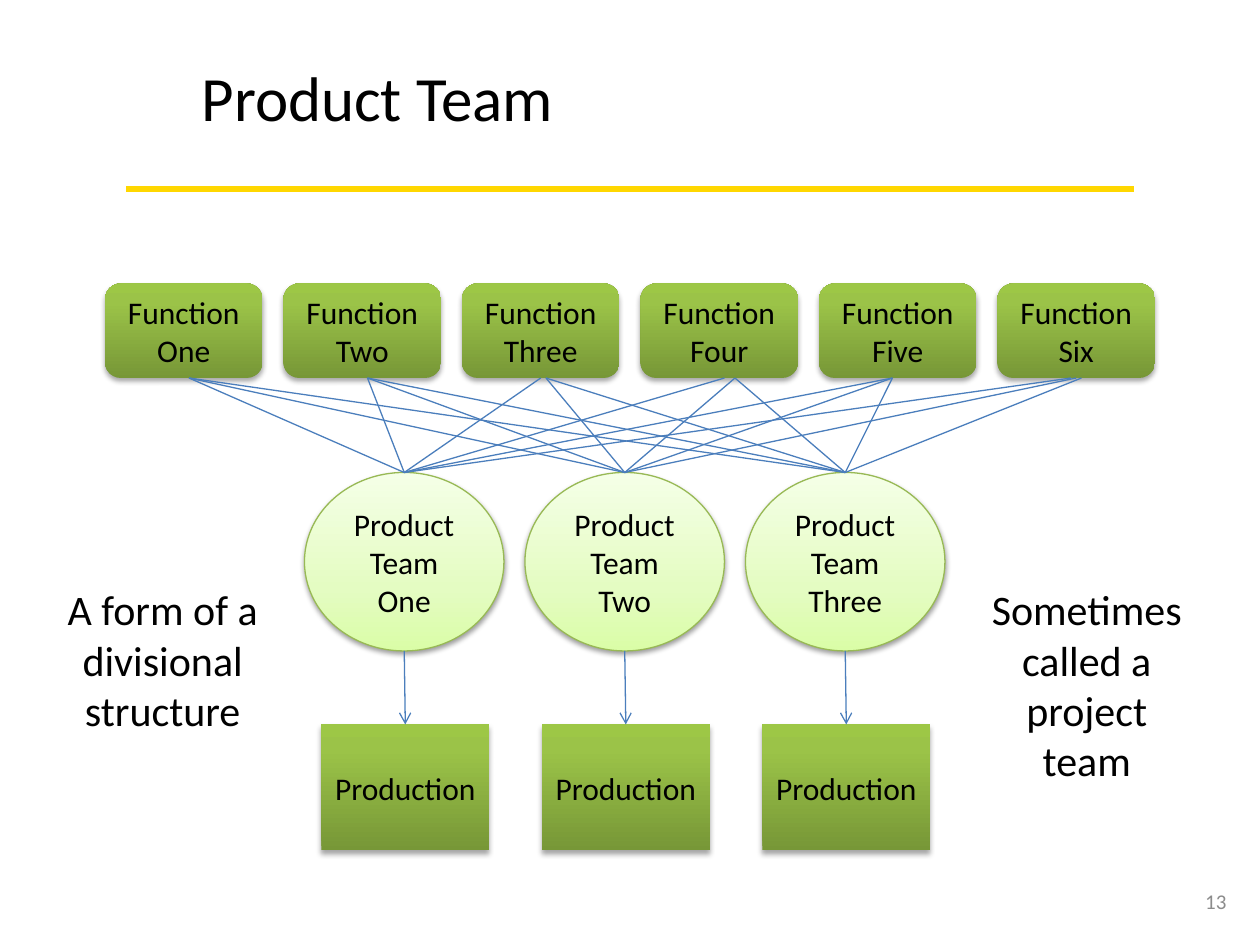
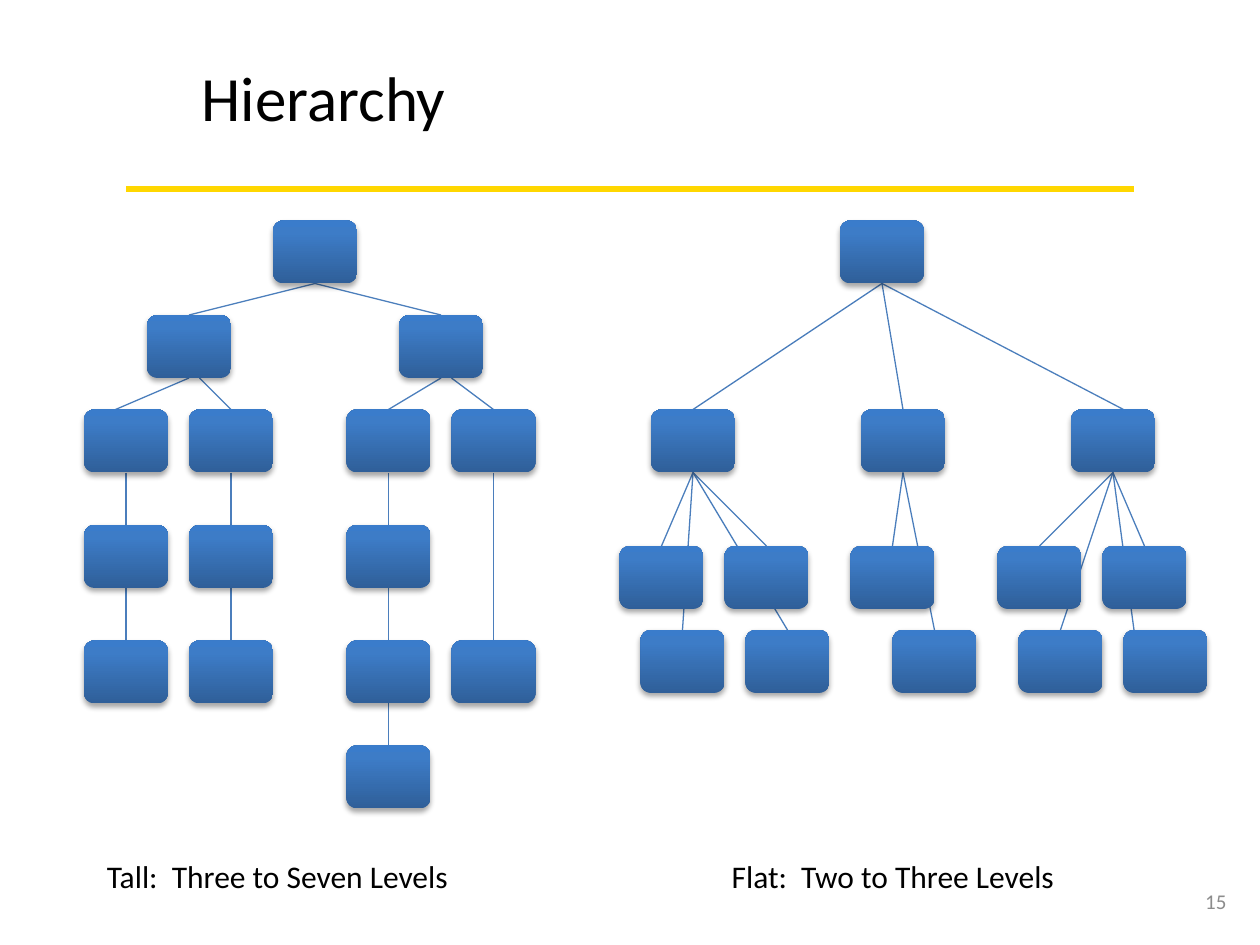
from pptx import Presentation
from pptx import util as u
from pptx.dml.color import RGBColor
from pptx.enum import shapes, text
from pptx.oxml import parse_xml
from pptx.oxml.ns import nsdecls, qn
from pptx.oxml.xmlchemy import OxmlElement

PX = 914400 // 120
BLACK = RGBColor(0x00, 0x00, 0x00)
GREY = RGBColor(0x8C, 0x8C, 0x8C)
GOLD = RGBColor(0xFF, 0xD7, 0x00)
LINK_BLUE = RGBColor(0x4B, 0x7E, 0xBC)
LIME_EDGE = RGBColor(0x98, 0xB9, 0x55)
GREEN = [(0, RGBColor(0x77, 0x97, 0x37)), (80, RGBColor(0x9B, 0xC3, 0x48)), (100, RGBColor(0x9D, 0xC7, 0x46))]
LIME = [(0, RGBColor(0xDA, 0xFD, 0xA7)), (35, RGBColor(0xE4, 0xFC, 0xC2)), (100, RGBColor(0xF5, 0xFF, 0xE7))]
BLUE = [(0, RGBColor(0x2F, 0x5F, 0x99)), (80, RGBColor(0x3D, 0x7C, 0xC7)), (100, RGBColor(0x3A, 0x7C, 0xCB))]
LEFT, CENTER, RIGHT = text.PP_ALIGN.LEFT, text.PP_ALIGN.CENTER, text.PP_ALIGN.RIGHT
TOP, MIDDLE = text.MSO_ANCHOR.TOP, text.MSO_ANCHOR.MIDDLE
ROUNDED = shapes.MSO_SHAPE.ROUNDED_RECTANGLE


def draw_block(slide, kind, box, stops, edge=None, shade=35, drop=23000):
    block = slide.shapes.add_shape(kind, *(n * PX for n in box))
    if edge:
        block.line.color.rgb = edge
        block.line.width = u.Pt(0.75)
    else:
        block.line.fill.background()
    props = block._element.spPr
    marks = "".join(
        f'<a:gs pos="{at * 1000}"><a:srgbClr val="{color}"/></a:gs>' for at, color in stops
    )
    props.find(qn("a:prstGeom")).addnext(parse_xml(
        f'<a:gradFill {nsdecls("a")} rotWithShape="1"><a:gsLst>{marks}</a:gsLst>'
        '<a:lin ang="16200000" scaled="0"/></a:gradFill>'
    ))
    props.append(parse_xml(
        f'<a:effectLst {nsdecls("a")}><a:outerShdw blurRad="40000" dist="{drop}" dir="5400000" '
        f'rotWithShape="0"><a:srgbClr val="{BLACK}"><a:alpha val="{shade * 1000}"/></a:srgbClr>'
        '</a:outerShdw></a:effectLst>'
    ))
    return block


def draw_link(slide, ends, color=LINK_BLUE, width=0.75, arrow=False):
    link = slide.shapes.add_connector(shapes.MSO_CONNECTOR.STRAIGHT, *(n * PX for n in ends))
    link.line.color.rgb = color
    link.line.width = u.Pt(width)
    if arrow:
        head = OxmlElement("a:tailEnd")
        head.set("type", "arrow")
        link.line._get_or_add_ln().append(head)
    link._element.spPr.append(OxmlElement("a:effectLst"))
    return link


deck = Presentation()
deck.slide_width, deck.slide_height = 1200 * PX, 900 * PX
title_layout = deck.slide_layouts.get_by_name("Title Only")
product_team = deck.slides.add_slide(title_layout)
hierarchy = deck.slides.add_slide(title_layout)

title_rule = draw_link(product_team, (120, 180, 1080, 180), GOLD, 4)
deck.slide_master.shapes._spTree.append(title_rule._element)

labels = []
for slide, heading, width, number in (
    (product_team, "Product Team", 362, "13"),
    (hierarchy, "Hierarchy", 258, "15"),
):
    title = slide.shapes.title
    for side, n in {"left": 180, "top": 50, "width": width, "height": 85}.items():
        setattr(title, side, n * PX)
    labels.append((title, heading, 36, BLACK, LEFT, TOP, False))
    page = slide.shapes.add_textbox(1130 * PX, 834 * PX, 50 * PX, 48 * PX)
    labels.append((page, number, 12, GREY, RIGHT, MIDDLE, True))

for i, name in enumerate(("One", "Two", "Three", "Four", "Five", "Six")):
    function = draw_block(product_team, ROUNDED, (100 + 170 * i, 270, 150, 90), GREEN)
    labels.append((function, f"Function\n{name}", 18, BLACK, CENTER, MIDDLE, True))

for i, name in enumerate(("One", "Two", "Three")):
    step = 210 * i
    team = draw_block(product_team, shapes.MSO_SHAPE.OVAL, (290 + step, 450, 190, 170),
                      LIME, LIME_EDGE, 38, 20000)
    production = draw_block(product_team, shapes.MSO_SHAPE.RECTANGLE, (306 + step, 690, 160, 120), GREEN)
    labels.append((team, f"Product\nTeam\n{name}", 18, BLACK, CENTER, MIDDLE, True))
    labels.append((production, "Production", 18, BLACK, CENTER, MIDDLE, True))
    draw_link(product_team, (385 + step, 620, 386 + step, 690), arrow=True)

function_exits = [(180, 180, 180), (350, 350, 350), (515, 520, 520),
                  (690, 700, 700), (850, 850, 850), (1020, 1025, 1030)]
for exits in function_exits:
    for i, x in enumerate(exits):
        draw_link(product_team, (x, 360, 385 + 210 * i, 450))

for slide, box, words, size, align, wrap in (
    (product_team, (50, 550, 210, 157), "A form of a divisional structure", 24, CENTER, True),
    (product_team, (930, 550, 210, 206), "Sometimes called a project team", 24, CENTER, True),
    (hierarchy, (90, 810, 353, 48), "Tall:  Three to Seven Levels", 18, LEFT, False),
    (hierarchy, (685, 810, 335, 48), "Flat:  Two to Three Levels", 18, LEFT, False),
):
    caption = slide.shapes.add_textbox(*(n * PX for n in box))
    labels.append((caption, words, size, BLACK, align, TOP, wrap))

tall_links = [
    (300, 270, 180, 300), (300, 270, 420, 300),
    (180, 360, 110, 390), (190, 360, 220, 390), (420, 360, 370, 390), (430, 360, 470, 390),
    (120, 450, 120, 500), (220, 450, 220, 500), (370, 450, 370, 500), (470, 450, 470, 610),
    (120, 560, 120, 610), (220, 560, 220, 610), (370, 560, 370, 610), (370, 670, 370, 710),
]
flat_links = [(840, 270, x, 390) for x in (660, 860, 1070)]
for manager, upper, lower in (
    (660, (630, 730), (650, 750)),
    (860, (850,), (890,)),
    (1060, (990, 1090), (1010, 1080)),
):
    flat_links += [(manager, 450, x, 520) for x in upper]
    flat_links += [(manager, 450, x, 600) for x in lower]
for ends in tall_links + flat_links:
    draw_link(hierarchy, ends)

tall_levels = {210: (260,), 300: (140, 380), 390: (80, 180, 330, 430),
               500: (80, 180, 330), 610: (80, 180, 330, 430), 710: (330,)}
flat_levels = {210: (800,), 390: (620, 820, 1020),
               520: (590, 690, 810, 950, 1050), 600: (610, 710, 850, 970, 1070)}
for levels in (tall_levels, flat_levels):
    for y, row in levels.items():
        for x in row:
            draw_block(hierarchy, ROUNDED, (x, y, 80, 60), BLUE)

for holder, words, size, color, align, anchor, wrap in labels:
    frame = holder.text_frame
    frame.text = words
    frame_format = {"word_wrap": wrap, "vertical_anchor": anchor, "auto_size": text.MSO_AUTO_SIZE.NONE}
    for key, value in frame_format.items():
        setattr(frame, key, value)
    for paragraph in frame.paragraphs:
        paragraph.alignment = align
        for key, value in {"name": "Calibri", "size": u.Pt(size)}.items():
            setattr(paragraph.font, key, value)
        paragraph.font.color.rgb = color

deck.save("out.pptx")
